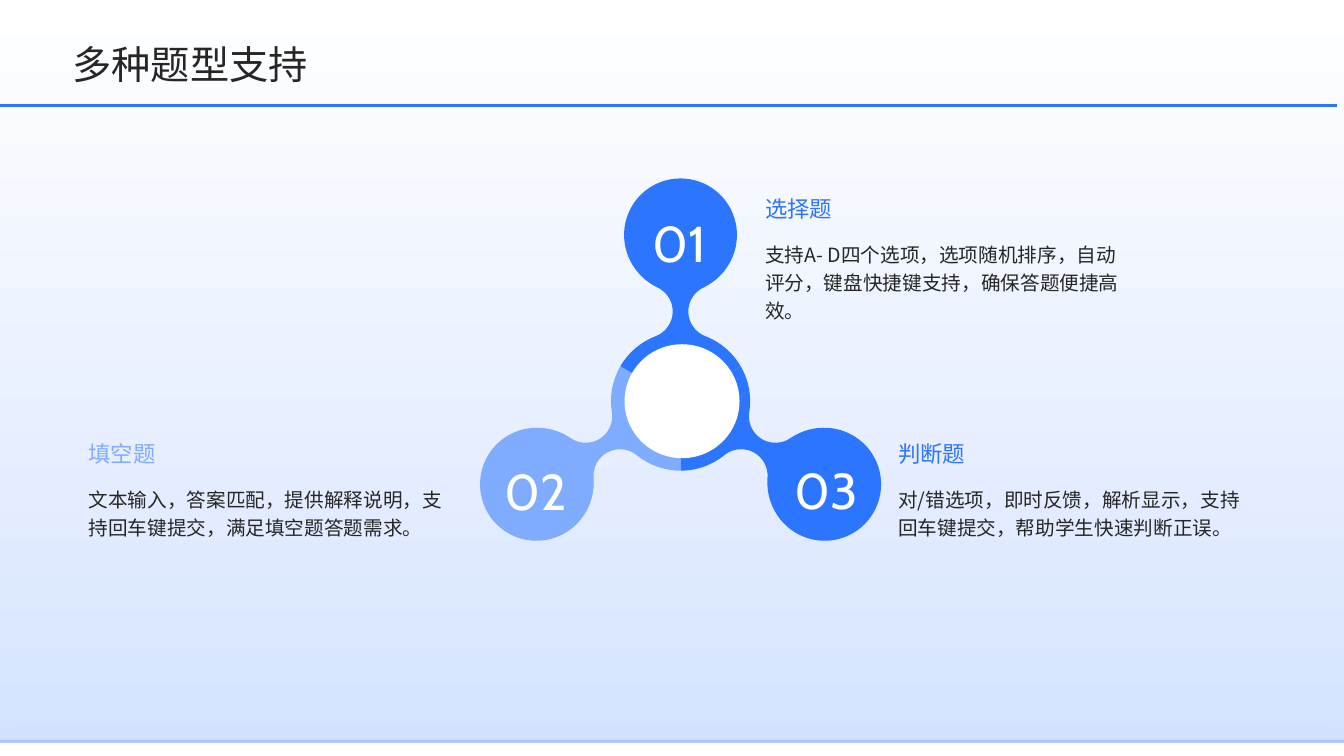
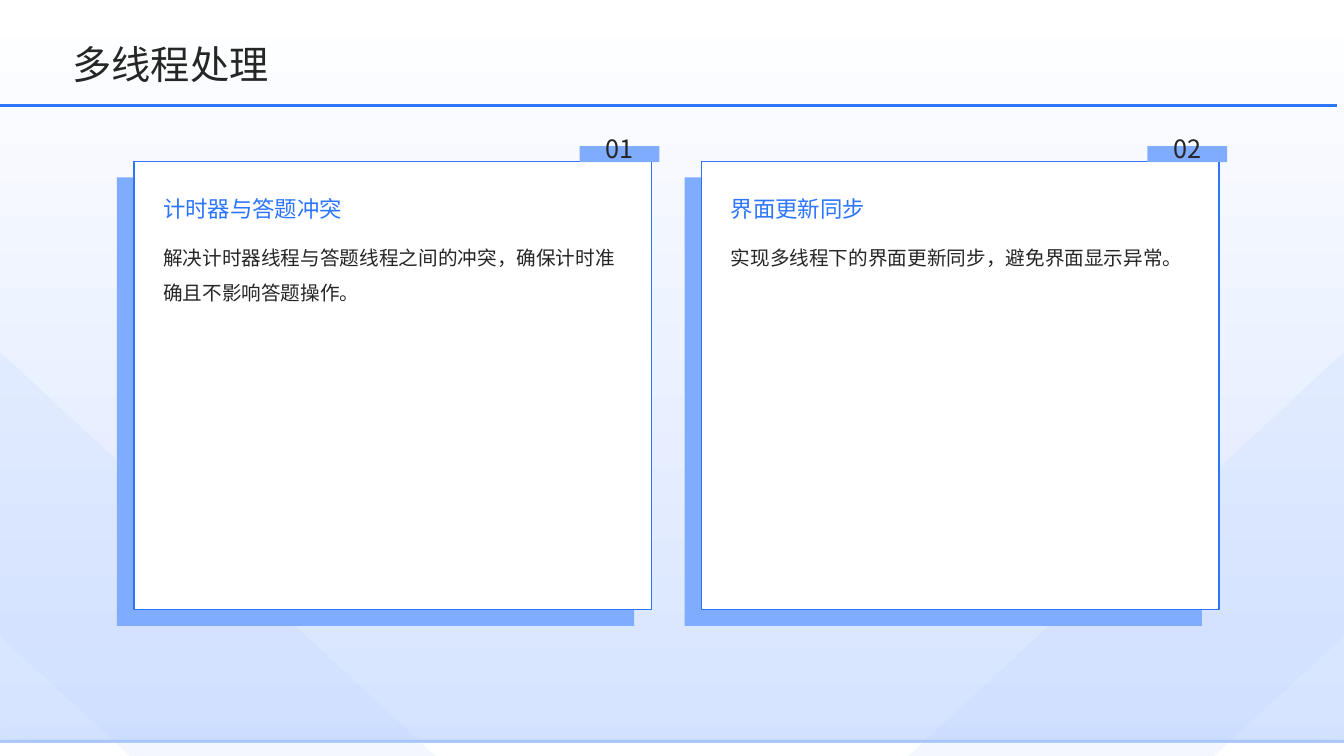
from math import atan2, cos, hypot, pi, radians, sin, tan

from lxml.etree import SubElement
from pptx import Presentation
from pptx.dml.color import RGBColor
from pptx.enum.shapes import MSO_CONNECTOR as Connector, MSO_SHAPE as Shape
from pptx.enum.text import MSO_ANCHOR as Anchor, PP_ALIGN as Align
from pptx.oxml.ns import qn
from pptx.util import Inches, Pt

COLORS = {
    "blue": "2C75FF",
    "light": "80ACFF",
    "pale": "ABC8FF",
    "sky": "D5E3FF",
    "white": "FFFFFF",
    "ink": "262626",
}
BODY_FONT = "Noto Sans CJK SC"
NUMBER_FONT = "Cabin"
WIDTH, HEIGHT = 13.33, 7.5

HUB_X, HUB_Y, HUB_RADIUS = 6.75, 3.98, 0.69
LOBE_DISTANCE, LOBE_RADIUS = 1.65, 0.56
NECK_X, NECK_Y = 0.34, 0.89  # centre of the concave arc beside the neck


def rgb(name):
    return RGBColor.from_string(COLORS[name])


def arc(x, y, radius, start, end, pieces):
    """Bézier points of a circular arc: three for each piece, after its start."""
    step = (end - start) / pieces
    handle = 4 / 3 * tan(step / 4)
    points = []
    for index in range(pieces):
        a = start + index * step
        b = a + step
        points += [
            (x + radius * (cos(a) - handle * sin(a)),
             y + radius * (sin(a) + handle * cos(a))),
            (x + radius * (cos(b) + handle * sin(b)),
             y + radius * (sin(b) - handle * cos(b))),
            (x + radius * cos(b), y + radius * sin(b)),
        ]
    return points


def petal_points(turn):
    """Bézier points of a hub sector with its lobe, turned clockwise by degrees."""
    to_neck = atan2(NECK_Y, NECK_X)
    to_lobe = atan2(LOBE_DISTANCE - NECK_Y, -NECK_X)
    neck_radius = hypot(NECK_X, NECK_Y) - HUB_RADIUS
    first = radians(30)
    half = (
        [(HUB_RADIUS * cos(first), HUB_RADIUS * sin(first))]
        + arc(0, 0, HUB_RADIUS, first, to_neck, 1)
        + arc(NECK_X, NECK_Y, neck_radius, to_neck + pi, to_lobe, 2)
        + arc(0, LOBE_DISTANCE, LOBE_RADIUS, to_lobe - pi, pi / 2, 2)
    )
    outline = half + [(-x, y) for x, y in reversed(half[:-1])]
    c, s = cos(radians(turn)), sin(radians(turn))
    return [(HUB_X + x * c + y * s, HUB_Y + x * s - y * c) for x, y in outline]


class Deck:
    def __init__(self):
        self.presentation = Presentation()
        self.presentation.slide_width = Inches(WIDTH)
        self.presentation.slide_height = Inches(HEIGHT)
        self.slide = None

    def start_slide(self, title):
        """Add a slide with the shared background, bottom bands and title."""
        layout = self.presentation.slide_layouts[6]
        self.slide = self.presentation.slides.add_slide(layout)
        background = self.shape(0, 0, WIDTH, HEIGHT, "white")
        background.fill.gradient()
        background.fill.gradient_angle = 90
        for stop, color in zip(background.fill.gradient_stops, ("sky", "white")):
            stop.color.rgb = rgb(color)
        for top, height, color in ((7.34, 0.08, "pale"), (7.37, 0.13, "white")):
            band = self.shape(0, top, WIDTH, height, color,
                              kind=Shape.ROUNDED_RECTANGLE)
            band.adjustments[0] = 0
            self.add_glow(band)
        self.text(title, 0.72, 0.35, 11.67, 0.51, 28,
                  anchor=Anchor.MIDDLE, inset=False)
        self.line(0, 1.05, 13.26, 1.05)

    def paint(self, shape, fill, line=None, line_width=1):
        shape.shadow.inherit = False
        shape.fill.solid()
        shape.fill.fore_color.rgb = rgb(fill)
        if line:
            shape.line.color.rgb = rgb(line)
            shape.line.width = Pt(line_width)
        else:
            shape.line.fill.background()
        return shape

    def shape(self, left, top, width, height, fill, line=None, line_width=1,
              kind=Shape.RECTANGLE):
        shape = self.slide.shapes.add_shape(
            kind, Inches(left), Inches(top), Inches(width), Inches(height))
        return self.paint(shape, fill, line, line_width)

    def add_glow(self, shape):
        """Give the shape a soft blue outer shadow."""
        effects = shape._element.spPr.find(qn("a:effectLst"))
        shadow = SubElement(effects, qn("a:outerShdw"), blurRad=str(Pt(25)),
                            dist=str(Pt(10)), dir="5400000", rotWithShape="0")
        color = SubElement(shadow, qn("a:srgbClr"), val=COLORS["blue"])
        SubElement(color, qn("a:alpha"), val="10000")

    def outline(self, contours, fill):
        """Draw one freeform from closed contours."""
        contours = [[(Inches(x), Inches(y)) for x, y in points]
                    for points in contours]
        builder = self.slide.shapes.build_freeform(*contours[0][0])
        for index, points in enumerate(contours):
            if index:
                builder.move_to(*points[0])
            builder.add_line_segments(points[1:], close=True)
        return self.paint(builder.convert_to_shape(), fill)

    def petal(self, turn, fill):
        """Draw a sector, joining each three points into one Bézier curve."""
        shape = self.outline([petal_points(turn) + [(HUB_X, HUB_Y)]], fill)
        segments = list(shape._element.iter(qn("a:lnTo")))[:-1]
        for first, second, end in zip(*[iter(segments)] * 3):
            curve = SubElement(first.getparent(), qn("a:cubicBezTo"))
            first.addprevious(curve)
            for segment in (first, second, end):
                curve.append(segment[0])
                segment.getparent().remove(segment)

    def rays(self, contours, fill, alpha):
        """Draw translucent rays; alpha is in percent."""
        shape = self.outline(contours, fill)
        color = shape._element.spPr.find(qn("a:solidFill"))[0]
        SubElement(color, qn("a:alpha"), val=str(alpha * 1000))

    def line(self, x1, y1, x2, y2):
        line = self.slide.shapes.add_connector(
            Connector.STRAIGHT, Inches(x1), Inches(y1), Inches(x2), Inches(y2))
        line.line.color.rgb = rgb("blue")
        line.line.width = Pt(2.25)
        SubElement(line._element.spPr, qn("a:effectLst"))

    def text(self, text, left, top, width, height, size, color="ink",
             font=BODY_FONT, spacing=1.1, align=Align.LEFT, anchor=Anchor.TOP,
             inset=True):
        box = self.slide.shapes.add_textbox(
            Inches(left), Inches(top), Inches(width), Inches(height))
        frame = box.text_frame
        frame.word_wrap = True
        frame.vertical_anchor = anchor
        if not inset:
            frame.margin_left = frame.margin_right = 0
            frame.margin_top = frame.margin_bottom = 0
        frame.text = text
        paragraph = frame.paragraphs[0]
        paragraph.alignment = align
        paragraph.line_spacing = spacing
        run = paragraph.runs[0]
        run.font.size = Pt(size)
        run.font.color.rgb = rgb(color)
        run.font.name = font
        SubElement(run._r.get_or_add_rPr(), qn("a:ea"), typeface=font)

    def topic(self, heading, body, left, top, color):
        self.text(body, left, top + 0.45, 3.73, 1.73, 14, spacing=1.2)
        self.text(heading, left, top, 3.73, 0.45, 16, color)

    def card(self, number, heading, body, left):
        self.shape(left - 0.17, 1.76, 5.13, 4.45, "light")
        self.shape(left, 1.6, 5.13, 4.45, "white", line="blue")
        self.text(heading, left + 0.19, 1.74, 4.74, 0.58, 16, "blue",
                  spacing=1.3, anchor=Anchor.MIDDLE)
        self.text(body, left + 0.19, 2.27, 4.74, 3.61, 14, spacing=1.5)
        self.shape(left + 4.42, 1.45, 0.79, 0.16, "light")
        self.text(number, left + 4.46, 1.24, 0.71, 0.4, 18, align=Align.CENTER)


def add_question_types(deck):
    deck.start_slide("多种题型支持")
    for turn, color in ((0, "blue"), (240, "light"), (120, "blue")):
        deck.petal(turn, color)
    deck.shape(6.2, 3.42, 1.13, 1.12, "white", "white", 0.75, Shape.OVAL)
    for number, left, top, width in (("02", 4.67, 4.46, 1.28),
                                     ("03", 7.56, 4.45, 1.28),
                                     ("01", 6.13, 1.99, 1.21)):
        deck.text(number, left, top, width, 0.71, 36, "white", NUMBER_FONT,
                  align=Align.CENTER)
    topics = (
        ("选择题", "支持A- D四个选项，选项随机排序，自动评分，键盘快捷键支持，确保答题便捷高效。",
         7.49, 1.86, "blue"),
        ("判断题", "对/错选项，即时反馈，解析显示，支持回车键提交，帮助学生快速判断正误。",
         8.81, 4.29, "blue"),
        ("填空题", "文本输入，答案匹配，提供解释说明，支持回车键提交，满足填空题答题需求。",
         0.78, 4.29, "light"),
    )
    for topic in topics:
        deck.topic(*topic)


def add_threading(deck):
    deck.start_slide("多线程处理")
    left_ray = [(0, 3.49), (4.32, HEIGHT), (1.29, HEIGHT), (0, 6.31)]
    right_ray = [(WIDTH - x, y) for x, y in left_ray]
    deck.rays([left_ray, right_ray], "pale", alpha=13)
    cards = (
        ("01", "计时器与答题冲突",
         "解决计时器线程与答题线程之间的冲突，确保计时准确且不影响答题操作。"),
        ("02", "界面更新同步", "实现多线程下的界面更新同步，避免界面显示异常。"),
    )
    for index, card in enumerate(cards):
        deck.card(*card, left=1.33 + index * 5.63)


def main():
    deck = Deck()
    add_question_types(deck)
    add_threading(deck)
    deck.presentation.save("out.pptx")


if __name__ == "__main__":
    main()
